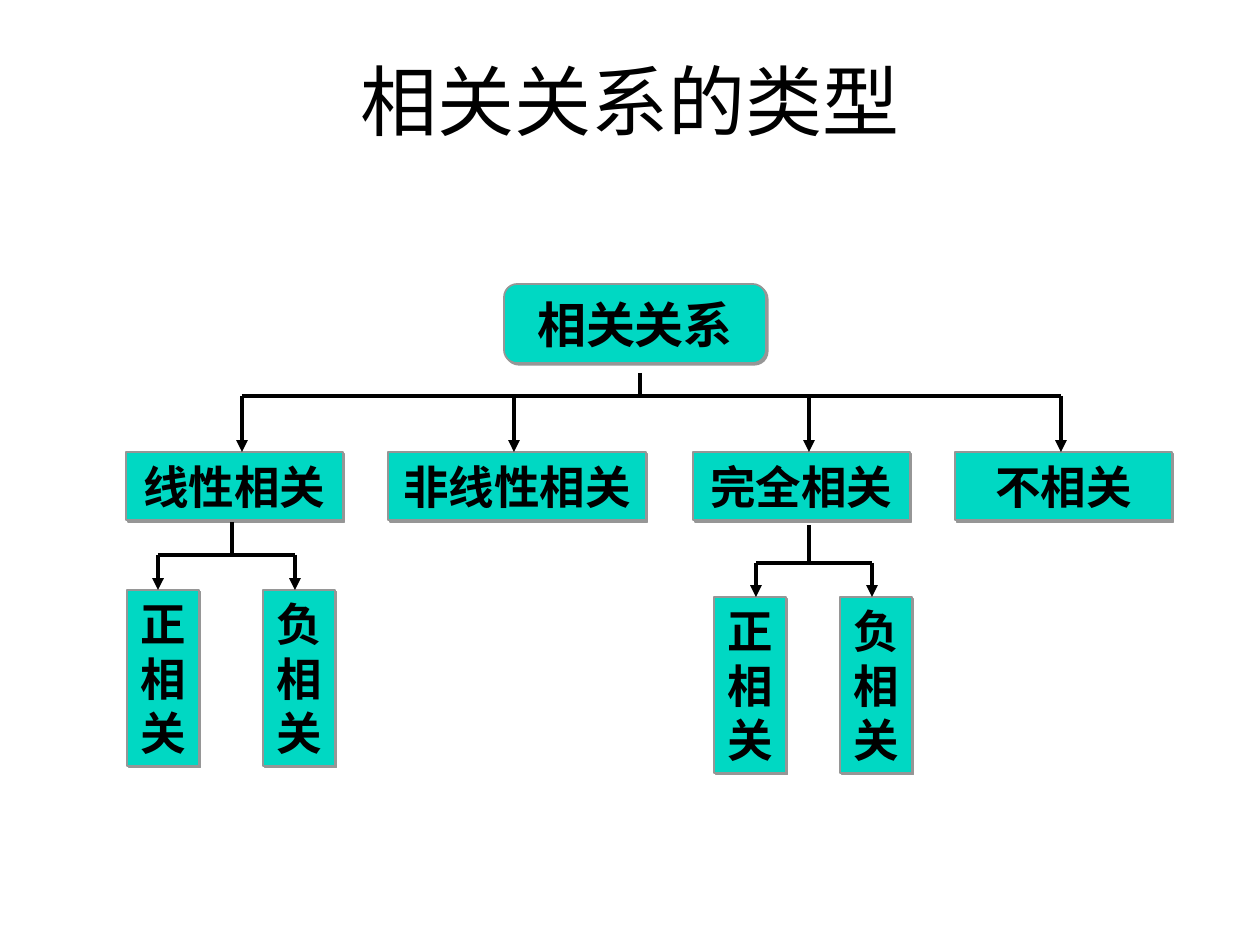
from lxml import etree
from pptx import Presentation
from pptx.dml.color import RGBColor
from pptx.enum.shapes import MSO_CONNECTOR, MSO_SHAPE
from pptx.enum.text import MSO_ANCHOR, PP_ALIGN
from pptx.oxml.ns import qn
from pptx.util import Pt

PX = 914400 // 126
RECTANGLE, ROUNDED = MSO_SHAPE.RECTANGLE, MSO_SHAPE.ROUNDED_RECTANGLE
STRAIGHT = MSO_CONNECTOR.STRAIGHT
MIDDLE, CENTER = MSO_ANCHOR.MIDDLE, PP_ALIGN.CENTER
BLACK, TEAL, GRAY = "000000", "00D8C3", "969696"
FONT = "Arial"

CATEGORY_TOP, CATEGORY_HEIGHT = 452, 68
CATEGORIES = [  # text, left, width
    ("线性相关", 126, 217),
    ("非线性相关", 388, 258),
    ("完全相关", 693, 217),
    ("不相关", 955, 217),
]
LEAF_WIDTH, LEAF_HEIGHT = 72, 176
LEAF_TEXTS = ("正相关", "负相关")
LEAF_PAIRS = [  # lefts, top
    ((127, 263), 590),
    ((714, 840), 597),
]
BRANCHES = [  # stem x, stem top, bar y, arrow tip y, arrow xs
    (640, 373, 396, 452, (242, 514, 809, 1061)),
    (232, 522, 555, 590, (158, 295)),
    (809, 525, 563, 597, (756, 872)),
]


def px(*values):
    return [value * PX for value in values]


def color(hex_value):
    return RGBColor.from_string(hex_value)


def set_text(shape, text, size, bold=False):
    frame = shape.text_frame
    frame.word_wrap = True
    frame.vertical_anchor = MIDDLE
    paragraph = frame.paragraphs[0]
    paragraph.text = text
    paragraph.alignment = CENTER
    paragraph.font.name = FONT
    paragraph.font.size = Pt(size)
    paragraph.font.bold = bold
    paragraph.font.color.rgb = color(BLACK)


def add_title(slide, text):
    title = slide.shapes.add_textbox(*px(42, 32, 1177, 136))
    set_text(title, text, 44)


def add_hard_shadow(shape):
    shape.shadow.inherit = False
    effects = shape._element.spPr.find(qn("a:effectLst"))
    shadow = etree.SubElement(effects, qn("a:outerShdw"), dist=str(Pt(1.4)),
                              dir="2700000", algn="ctr", rotWithShape="0")
    etree.SubElement(shadow, qn("a:srgbClr"), val=GRAY)


def add_box(slide, text, left, top, width, height, size=26, kind=RECTANGLE):
    box = slide.shapes.add_shape(kind, *px(left, top, width, height))
    box.fill.solid()
    box.fill.fore_color.rgb = color(TEAL)
    box.line.color.rgb = color(GRAY)
    box.line.width = Pt(1)
    add_hard_shadow(box)
    set_text(box, text, size, bold=True)


def add_line(slide, x1, y1, x2, y2, arrow=False):
    line = slide.shapes.add_connector(STRAIGHT, *px(x1, y1, x2, y2))
    line.line.color.rgb = color(BLACK)
    line.line.width = Pt(2.25)
    if arrow:
        etree.SubElement(line.line._get_or_add_ln(), qn("a:tailEnd"), type="triangle")
    etree.SubElement(line._element.spPr, qn("a:effectLst"))


def add_branch(slide, stem_x, stem_top, bar_y, tip_y, arrow_xs):
    """Draw a stem, a crossbar and one arrow down to each child."""
    add_line(slide, stem_x, stem_top, stem_x, bar_y)
    add_line(slide, arrow_xs[0], bar_y, arrow_xs[-1], bar_y)
    for x in arrow_xs:
        add_line(slide, x, bar_y, x, tip_y, arrow=True)


def main():
    presentation = Presentation()
    presentation.slide_width, presentation.slide_height = px(1260, 945)
    slide = presentation.slides.add_slide(presentation.slide_layouts[6])

    add_title(slide, "相关关系的类型")
    add_box(slide, "相关关系", 504, 284, 262, 79, size=28, kind=ROUNDED)
    for text, left, width in CATEGORIES:
        add_box(slide, text, left, CATEGORY_TOP, width, CATEGORY_HEIGHT)
    for lefts, top in LEAF_PAIRS:
        for text, left in zip(LEAF_TEXTS, lefts):
            add_box(slide, text, left, top, LEAF_WIDTH, LEAF_HEIGHT)
    for branch in BRANCHES:
        add_branch(slide, *branch)

    presentation.save("out.pptx")


if __name__ == "__main__":
    main()
